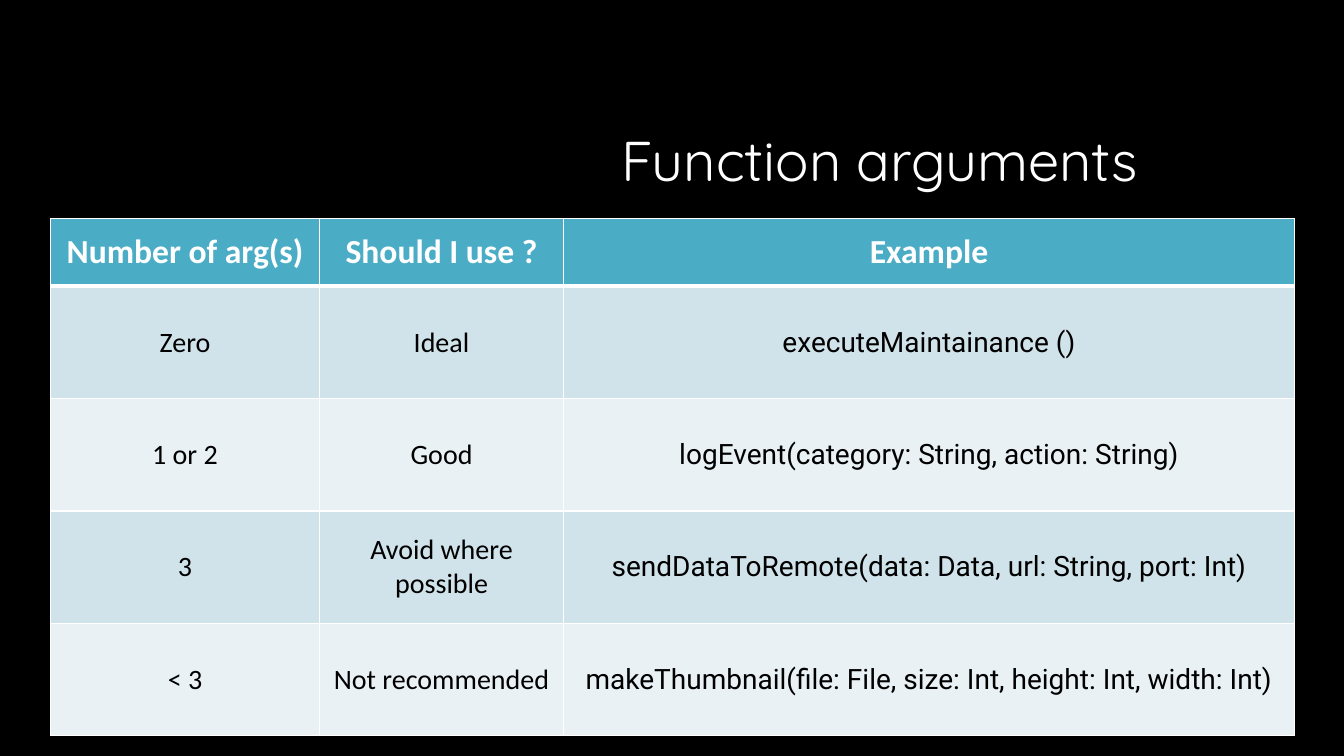
import lxml.etree
import pptx
import pptx.dml.color
import pptx.enum.text
import pptx.oxml.ns
import pptx.util

Inches = pptx.util.Inches
ALIGN = pptx.enum.text.PP_ALIGN
ANCHOR = pptx.enum.text.MSO_ANCHOR


def set_fill(fill, color):
    fill.solid()
    fill.fore_color.rgb = pptx.dml.color.RGBColor.from_string(color)


def write_text(text_frame, text, font="Calibri", size=20, color="000000",
               bold=False, align=ALIGN.CENTER):
    paragraph = text_frame.paragraphs[0]
    paragraph.alignment = align
    run = paragraph.add_run()
    run.text = text
    run.font.name = font
    run.font.size = pptx.util.Pt(size)
    run.font.bold = bold
    set_fill(run.font.fill, color)


presentation = pptx.Presentation()
presentation.slide_width = Inches(13.33)
presentation.slide_height = Inches(7.5)
slide = presentation.slides.add_slide(presentation.slide_layouts[6])

# Black background
set_fill(slide.background.fill, "000000")

# Title
title = slide.shapes.add_textbox(Inches(6.16), Inches(1.25), Inches(6.34), Inches(0.67))
title_frame = title.text_frame
title_frame.word_wrap = True
title_frame.margin_left = title_frame.margin_right = 0
title_frame.margin_top = title_frame.margin_bottom = 0
write_text(title_frame, "Function arguments", font="Quicksand", size=40,
           color="FFFFFF", align=ALIGN.LEFT)

# Table of argument counts
rows = [
    ("Number of arg(s)", "Should I use ?", "Example"),
    ("Zero", "Ideal", "executeMaintainance ()"),
    ("1 or 2", "Good", "logEvent(category: String, action: String)"),
    ("3", "Avoid where possible", "sendDataToRemote(data: Data, url: String, port: Int)"),
    ("< 3", "Not recommended", "makeThumbnail(file: File, size: Int, height: Int, width: Int)"),
]
column_widths = [2.67, 2.42, 7.25]
row_heights = [0.67] + [1.115] * 4
table = slide.shapes.add_table(len(rows), len(column_widths), Inches(0.5), Inches(2.17),
                               Inches(sum(column_widths)), Inches(sum(row_heights))).table
for column, width in zip(table.columns, column_widths):
    column.width = Inches(width)
for row, height in zip(table.rows, row_heights):
    row.height = Inches(height)

for row_index, texts in enumerate(rows):
    for column_index, text in enumerate(texts):
        cell = table.cell(row_index, column_index)
        cell.vertical_anchor = ANCHOR.MIDDLE
        if row_index == 0:
            set_fill(cell.fill, "4BACC6")
            write_text(cell.text_frame, text, size=24, color="FFFFFF", bold=True)
        else:
            set_fill(cell.fill, "D0E3EA" if row_index % 2 else "E9F1F5")
            write_text(cell.text_frame, text, font="Roboto" if column_index == 2 else "Calibri")

        # White borders, thick under the header
        properties = cell._tc.get_or_add_tcPr()
        for position, side in enumerate(["lnL", "lnR", "lnT", "lnB"]):
            thick = (row_index, side) in [(0, "lnB"), (1, "lnT")]
            line = lxml.etree.Element(pptx.oxml.ns.qn("a:" + side),
                                      w=str(pptx.util.Pt(3 if thick else 1)))
            solid = lxml.etree.SubElement(line, pptx.oxml.ns.qn("a:solidFill"))
            lxml.etree.SubElement(solid, pptx.oxml.ns.qn("a:srgbClr"), val="FFFFFF")
            properties.insert(position, line)

presentation.save("out.pptx")
